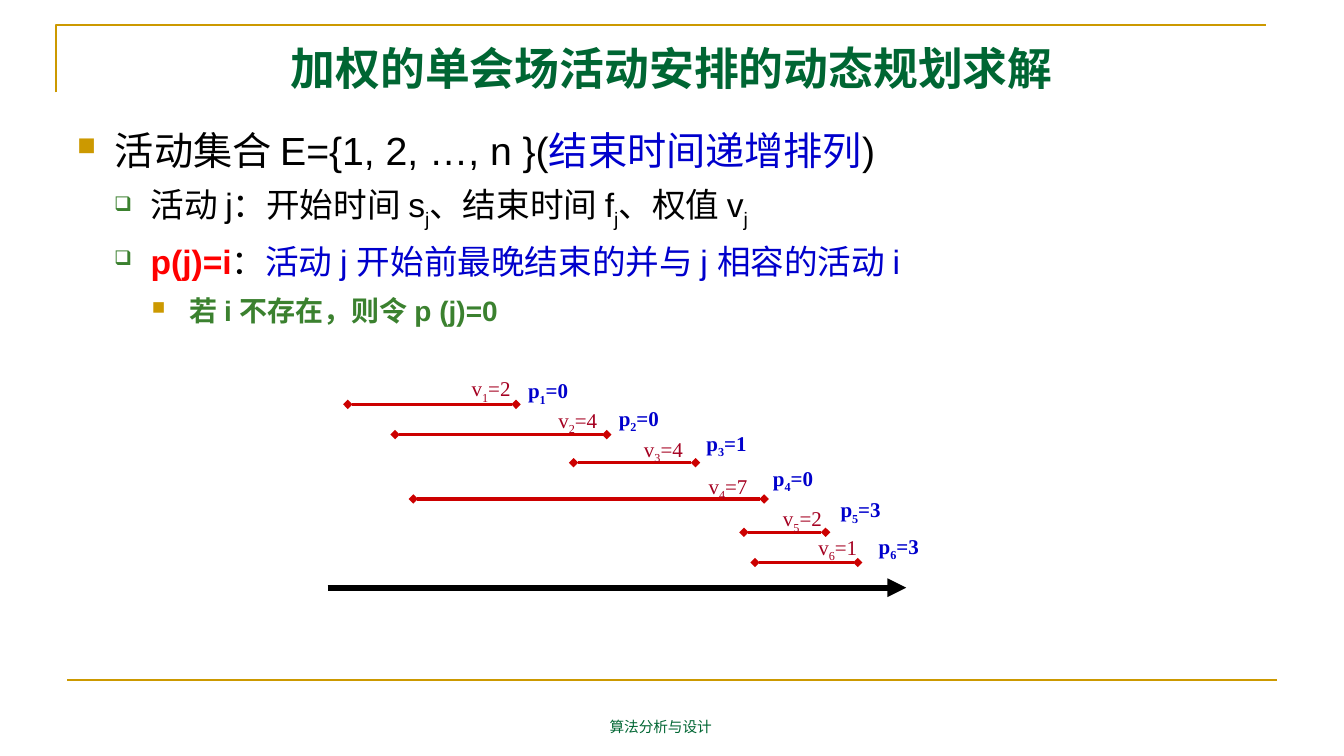
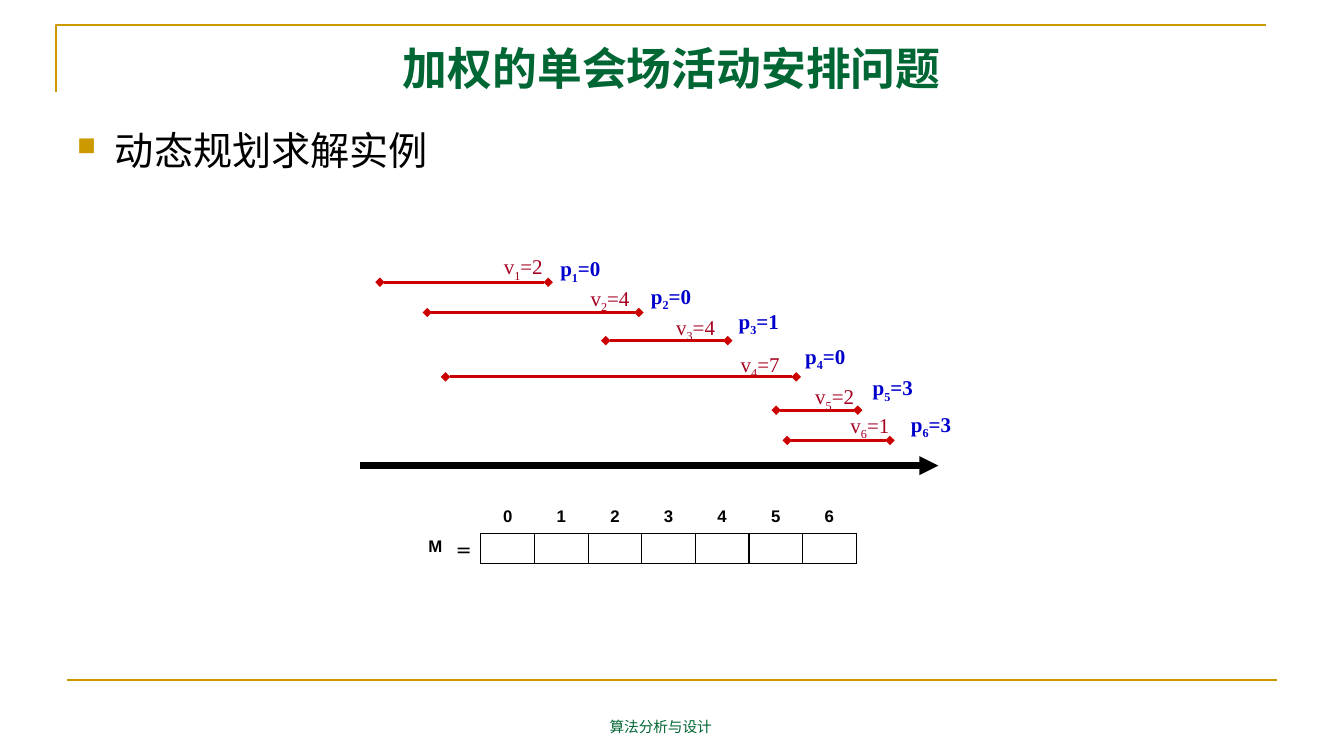
from lxml import etree
from pptx import Presentation
from pptx.dml.color import RGBColor
from pptx.enum.shapes import MSO_CONNECTOR
from pptx.enum.text import MSO_ANCHOR, MSO_AUTO_SIZE, PP_ALIGN
from pptx.oxml.ns import qn
from pptx.util import Pt

COLORS = {
    "gold": "CC9900", "title": "006633", "leaf": "3B812F", "text": "000000",
    "blue": "0000CC", "red": "FF0000", "bar": "CC0000", "value": "A50021",
}
SANS, SERIF = "Arial", "Times New Roman"
NO_STYLE = "{2D5ABB26-0587-4C30-8999-92F81FD0307C}"
SUB = {"sub": True}

# level: left indent, hanging indent, line spacing, size, bullet, bullet colour, bullet size %
LEVELS = [
    (27, 27, 1.1, 28, "■", "gold", 65),
    (52.5, 26, 1.1, 24, "❑", "leaf", 60),
    (80.5, 27, 1.2, 20, "■", "gold", 65),
]

# start, end, line y, value label x and y, p label x and y, value, p
ACTIVITIES = [
    (14.4, 134.6, 23.8, 95.8, 0, 136.1, 1.4, 2, 0),
    (48.2, 199.4, 45.4, 157.7, 22.3, 200.9, 20.9, 4, 0),
    (175.7, 262.8, 65.5, 218.9, 43.2, 263.5, 38.9, 4, 1),
    (61.2, 311.8, 91.4, 265, 69.8, 311, 64.1, 7, 0),
    (297.4, 355.7, 115.2, 318.2, 92.9, 359.3, 86.4, 2, 3),
    (305.3, 378.7, 136.8, 343.4, 113, 386.6, 112.3, 1, 3),
]


def rgb(name):
    return RGBColor.from_string(COLORS[name])


def child(parent, tag, **attrs):
    el = etree.SubElement(parent, qn(tag))
    for key, val in attrs.items():
        el.set(key, str(val))
    return el


def write(p, runs, size=12, font=SANS, color="text", bold=False, align=None, spacing=None):
    """Fill a paragraph from a string or a list of (text, overrides)."""
    p.alignment = align
    p.line_spacing = spacing
    for text, opts in [(runs, {})] if isinstance(runs, str) else runs:
        r = p.add_run()
        r.text = text
        r.font.size, r.font.name = Pt(size), font
        r.font.bold = opts.get("bold", bold)
        r.font.color.rgb = rgb(opts.get("color", color))
        if opts.get("sub"):
            r.font._element.set("baseline", "-25000")


def text_box(slide, x, y, w, h, wrap=True, anchor=MSO_ANCHOR.TOP):
    tf = slide.shapes.add_textbox(Pt(x), Pt(y), Pt(w), Pt(h)).text_frame
    tf.word_wrap = wrap
    tf.vertical_anchor = anchor
    return tf


def line(slide, x1, y1, x2, y2, color, width, head=None, tail=None):
    c = slide.shapes.add_connector(MSO_CONNECTOR.STRAIGHT, Pt(x1), Pt(y1), Pt(x2), Pt(y2))
    c.line.color.rgb = rgb(color)
    c.line.width = Pt(width)
    ln = c.line._get_or_add_ln()
    for tag, kind in (("a:headEnd", head), ("a:tailEnd", tail)):
        if kind:
            child(ln, tag, type=kind)
    child(c._element.spPr, "a:effectLst")


def base_slide(prs, title):
    slide = prs.slides.add_slide(prs.slide_layouts[6])
    # Corner bracket and bottom rule
    fb = slide.shapes.build_freeform(Pt(40), Pt(66))
    fb.add_line_segments([(Pt(40), Pt(18)), (Pt(904), Pt(18))], close=False)
    sp = fb.convert_to_shape()
    sp.shadow.inherit = False
    sp.fill.background()
    sp.line.color.rgb = rgb("gold")
    sp.line.width = Pt(1.5)
    line(slide, 48, 486, 912, 486, "gold", 1.5)
    # Footer and title
    tf = text_box(slide, 320, 504, 304, 25, anchor=MSO_ANCHOR.BOTTOM)
    write(tf.paragraphs[0], "算法分析与设计", size=10.5, font=SERIF, color="title",
          align=PP_ALIGN.CENTER)
    tf = text_box(slide, 48, 21.6, 864, 55.4)
    write(tf.paragraphs[0], title, size=32, color="title", bold=True,
          align=PP_ALIGN.CENTER, spacing=1.1)
    return slide


def body(slide, items, x=48, y=83, w=864, h=400):
    tf = text_box(slide, x, y, w, h)
    for i, (level, runs) in enumerate(items):
        p = tf.add_paragraph() if i else tf.paragraphs[0]
        left, hang, spacing, size, bullet, color, pct = LEVELS[level]
        write(p, runs, size=size, spacing=spacing)
        pPr = p._p.get_or_add_pPr()
        pPr.set("marL", str(Pt(left)))
        pPr.set("indent", str(-Pt(hang)))
        child(child(pPr, "a:spcBef"), "a:spcPct", val=20000)
        child(child(pPr, "a:buClr"), "a:srgbClr", val=COLORS[color])
        child(pPr, "a:buSzPct", val=pct * 1000)
        child(pPr, "a:buChar", char=bullet)


def timeline(slide, x, y):
    """Activity bars with labels above a time axis; x, y is the top left corner."""
    def label(lx, ly, letter, n, number, **fmt):
        tf = text_box(slide, x + lx, y + ly, 43.5, 25, wrap=False)
        tf.auto_size = MSO_AUTO_SIZE.SHAPE_TO_FIT_TEXT
        write(tf.paragraphs[0], [(letter, {}), (str(n), SUB), (f"={number}", {})],
              size=15, font=SERIF, **fmt)

    line(slide, x, y + 154.8, x + 413.3, y + 154.8, "text", 4.5, tail="triangle")
    for n, (start, end, ly, vx, vy, px, py, value, prev) in enumerate(ACTIVITIES, 1):
        line(slide, x + start, y + ly, x + end, y + ly, "bar", 2.25, "diamond", "diamond")
        label(vx, vy, "v", n, value, color="value")
        label(px, py, "p", n, prev, color="blue", bold=True)


def set_borders(cell, sides):
    tcPr = cell._tc.get_or_add_tcPr()
    for i, side in enumerate("LRTB"):
        ln = etree.Element(qn(f"a:ln{side}"), w=str(Pt(1)))
        if side in sides:
            child(child(ln, "a:solidFill"), "a:srgbClr", val=COLORS["text"])
        else:
            child(ln, "a:noFill")
        tcPr.insert(i, ln)


def memo_table(slide, x, y):
    """Empty array M with its indices above."""
    widths, heights = [18, 24.5] + [38.3] * 7, [22, 21]
    rows = [["", ""] + [str(n) for n in range(7)], ["M", "＝"] + [""] * 7]
    table = slide.shapes.add_table(2, 9, Pt(x), Pt(y), Pt(sum(widths)), Pt(sum(heights))).table
    table.first_row = table.horz_banding = False
    table._tbl.tblPr.find(qn("a:tableStyleId")).text = NO_STYLE
    for col, w in zip(table.columns, widths):
        col.width = Pt(w)
    for r, (row, h) in enumerate(zip(rows, heights)):
        table.rows[r].height = Pt(h)
        for c, text in enumerate(row):
            cell = table.cell(r, c)
            cell.margin_left = cell.margin_right = Pt(5)
            cell.margin_top = cell.margin_bottom = Pt(2.8)
            cell.fill.background()
            p = cell.text_frame.paragraphs[0]
            if text:
                write(p, text, bold=True, align=PP_ALIGN.CENTER)
            else:
                child(p._p, "a:endParaRPr", sz=1200)
            if c >= 2:
                set_borders(cell, "LRTB" if r else "B")
            else:
                set_borders(cell, "R" if (r, c) == (1, 1) else "")


def definition_slide(prs):
    slide = base_slide(prs, "加权的单会场活动安排的动态规划求解")
    blue = {"color": "blue"}
    body(slide, [
        (0, [("活动集合 E={1, 2, …, n }(", {}), ("结束时间递增排列", blue), (")", {})]),
        (1, [("活动 j：开始时间 s", {}), ("j", SUB), ("、结束时间 f", {}), ("j", SUB),
             ("、权值 v", {}), ("j", SUB)]),
        (1, [("p(j)=i", {"color": "red", "bold": True}), ("：", {}),
             ("活动 j 开始前最晚结束的并与 j 相容的活动 i", blue)]),
        (2, [("若 i 不存在，则令 p (j)=0", {"color": "leaf", "bold": True})]),
    ])
    timeline(slide, 234, 265)


def example_slide(prs):
    slide = base_slide(prs, "加权的单会场活动安排问题")
    body(slide, [(0, "动态规划求解实例")])
    timeline(slide, 257, 177.8)
    memo_table(slide, 301, 359.3)


def main():
    prs = Presentation()
    prs.slide_width, prs.slide_height = Pt(960), Pt(540)
    definition_slide(prs)
    example_slide(prs)
    prs.save("out.pptx")


if __name__ == "__main__":
    main()
